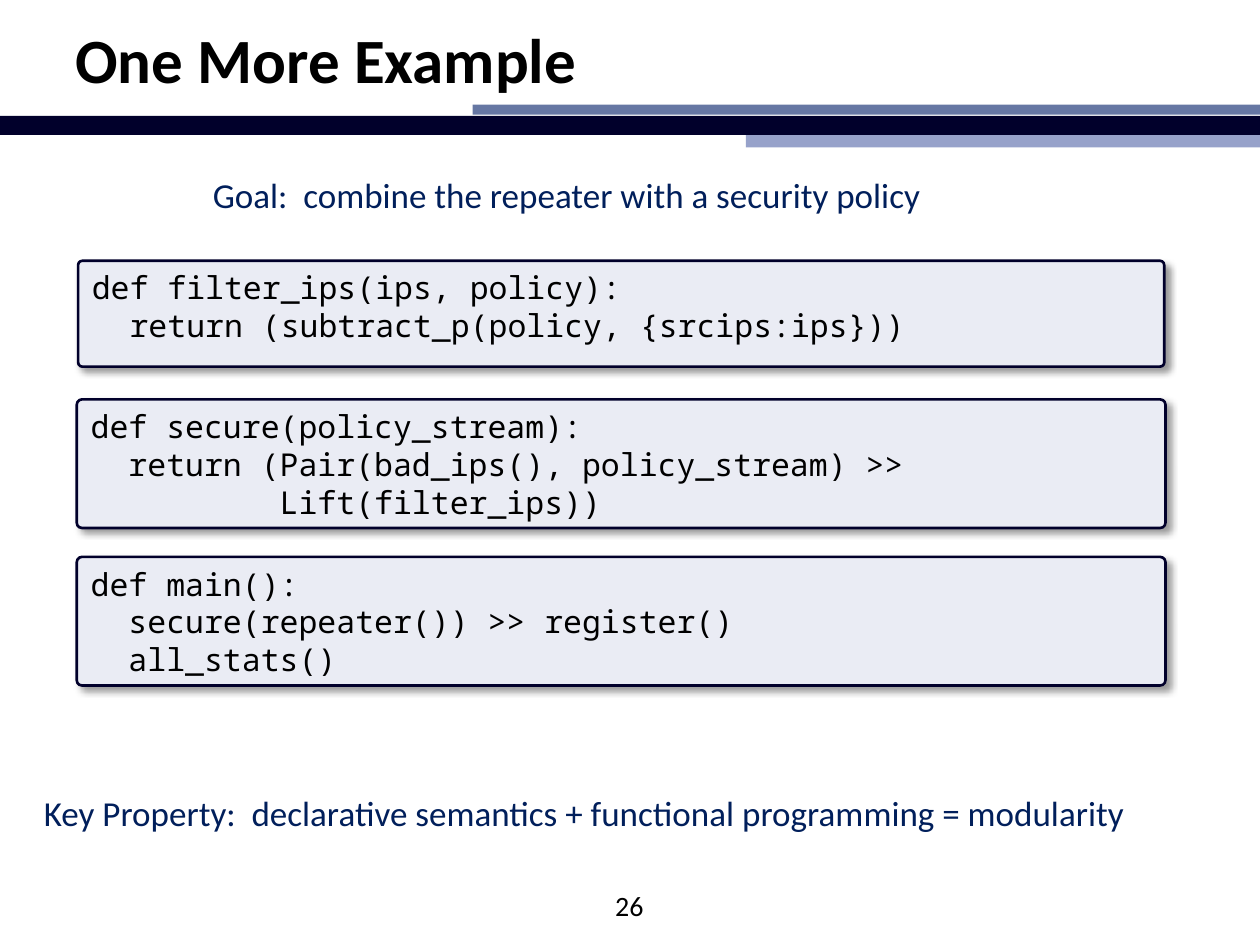
from dataclasses import dataclass

from lxml import etree
from pptx import Presentation
from pptx import util as u
from pptx.dml.color import RGBColor
from pptx.enum import shapes, text
from pptx.oxml import ns

BLACK = RGBColor(0x00, 0x00, 0x00)
NAVY = RGBColor(0x01, 0x00, 0x2B)
STEEL = RGBColor(0x66, 0x77, 0xA3)
LAVENDER = RGBColor(0x97, 0xA2, 0xCA)
BLUE = RGBColor(0x01, 0x1F, 0x5B)
PALE = RGBColor(0xEA, 0xEC, 0xF4)


@dataclass(frozen=True)
class Box:
    left: float
    top: float
    width: float
    height: float

    def lengths(self) -> tuple:
        return tuple(u.Inches(n) for n in (self.left, self.top, self.width, self.height))


@dataclass(frozen=True)
class Band:
    box: Box
    color: RGBColor


@dataclass(frozen=True)
class Label:
    box: Box
    words: str
    size: int
    color: RGBColor = BLACK
    bold: bool = False
    wrap: bool = True
    align: text.PP_ALIGN = text.PP_ALIGN.LEFT
    anchor: text.MSO_ANCHOR = text.MSO_ANCHOR.TOP


@dataclass(frozen=True)
class CodeBlock:
    box: Box
    lines: tuple


BANDS = (
    Band(Box(5.92, 1, 4.08, 0.17), LAVENDER),
    Band(Box(3.75, 0.83, 6.25, 0.08), STEEL),
    Band(Box(0, 0.92, 10, 0.15), NAVY),
)

LABELS = (
    Label(Box(0.5, 0, 9.08, 0.92), "One More Example", 36, bold=True,
          anchor=text.MSO_ANCHOR.MIDDLE),
    Label(Box(1.59, 1.33, 6.32, 0.44),
          "Goal:  combine the repeater with a security policy", 20, BLUE, wrap=False),
    Label(Box(0.25, 6.23, 9.61, 0.44),
          "Key Property:  declarative semantics + functional programming = modularity",
          20, BLUE, wrap=False),
    Label(Box(4.58, 7, 0.83, 0.5), "26", 16, align=text.PP_ALIGN.CENTER),
)

CODE_BLOCKS = (
    CodeBlock(Box(0.62, 2.07, 8.62, 0.84), (
        "def filter_ips(ips, policy):",
        "  return (subtract_p(policy, {srcips:ips}))",
    )),
    CodeBlock(Box(0.61, 3.17, 8.64, 1.02), (
        "def secure(policy_stream):",
        "  return (Pair(bad_ips(), policy_stream) >>",
        "          Lift(filter_ips))",
    )),
    CodeBlock(Box(0.61, 4.42, 8.64, 1.02), (
        "def main():",
        "  secure(repeater()) >> register()",
        "  all_stats()",
    )),
)


def write_lines(frame, lines: tuple, align: text.PP_ALIGN, color: RGBColor, **font_format) -> None:
    for index, line in enumerate(lines):
        paragraph = frame.add_paragraph() if index else frame.paragraphs[0]
        paragraph.alignment = align
        run = paragraph.add_run()
        run.text = line
        for name, value in font_format.items():
            setattr(run.font, name, value)
        run.font.color.rgb = color


def add_filled(slide, kind: shapes.MSO_SHAPE, box: Box, color: RGBColor):
    shape = slide.shapes.add_shape(kind, *box.lengths())
    shape.shadow.inherit = False
    shape.fill.solid()
    shape.fill.fore_color.rgb = color
    return shape


def add_band(slide, band: Band) -> None:
    shape = add_filled(slide, shapes.MSO_SHAPE.RECTANGLE, band.box, band.color)
    shape.line.fill.background()


def add_label(slide, label: Label) -> None:
    frame = slide.shapes.add_textbox(*label.box.lengths()).text_frame
    frame.word_wrap = label.wrap
    frame.vertical_anchor = label.anchor
    if not label.wrap:
        frame.auto_size = text.MSO_AUTO_SIZE.SHAPE_TO_FIT_TEXT
    write_lines(frame, (label.words,), label.align, label.color,
                name="Calibri", size=u.Pt(label.size), bold=label.bold)


def add_drop_shadow(shape) -> None:
    """Cast a soft black shadow down and to the right."""
    effects = shape._element.spPr.find(ns.qn("a:effectLst"))
    shadow = etree.SubElement(effects, ns.qn("a:outerShdw"), {
        "blurRad": str(u.Pt(4)), "dist": str(u.Pt(3)), "dir": str(45 * 60000),
        "algn": "tl", "rotWithShape": "0"})
    color = etree.SubElement(shadow, ns.qn("a:srgbClr"), val=str(BLACK))
    etree.SubElement(color, ns.qn("a:alpha"), val="40000")


def add_code_block(slide, block: CodeBlock) -> None:
    shape = add_filled(slide, shapes.MSO_SHAPE.ROUNDED_RECTANGLE, block.box, PALE)
    shape.adjustments[0] = 0.04
    shape.line.color.rgb = NAVY
    shape.line.width = u.Pt(1.5)
    add_drop_shadow(shape)
    frame = shape.text_frame
    frame.word_wrap = True
    frame.vertical_anchor = text.MSO_ANCHOR.TOP
    write_lines(frame, block.lines, text.PP_ALIGN.LEFT, BLACK,
                name="Noto Sans Mono", size=u.Pt(18))


def main() -> None:
    presentation = Presentation()
    presentation.slide_width = u.Inches(10)
    presentation.slide_height = u.Inches(7.5)
    slide = presentation.slides.add_slide(presentation.slide_layouts[6])
    for band in BANDS:
        add_band(slide, band)
    for label in LABELS:
        add_label(slide, label)
    for block in CODE_BLOCKS:
        add_code_block(slide, block)
    presentation.save("out.pptx")


if __name__ == "__main__":
    main()
